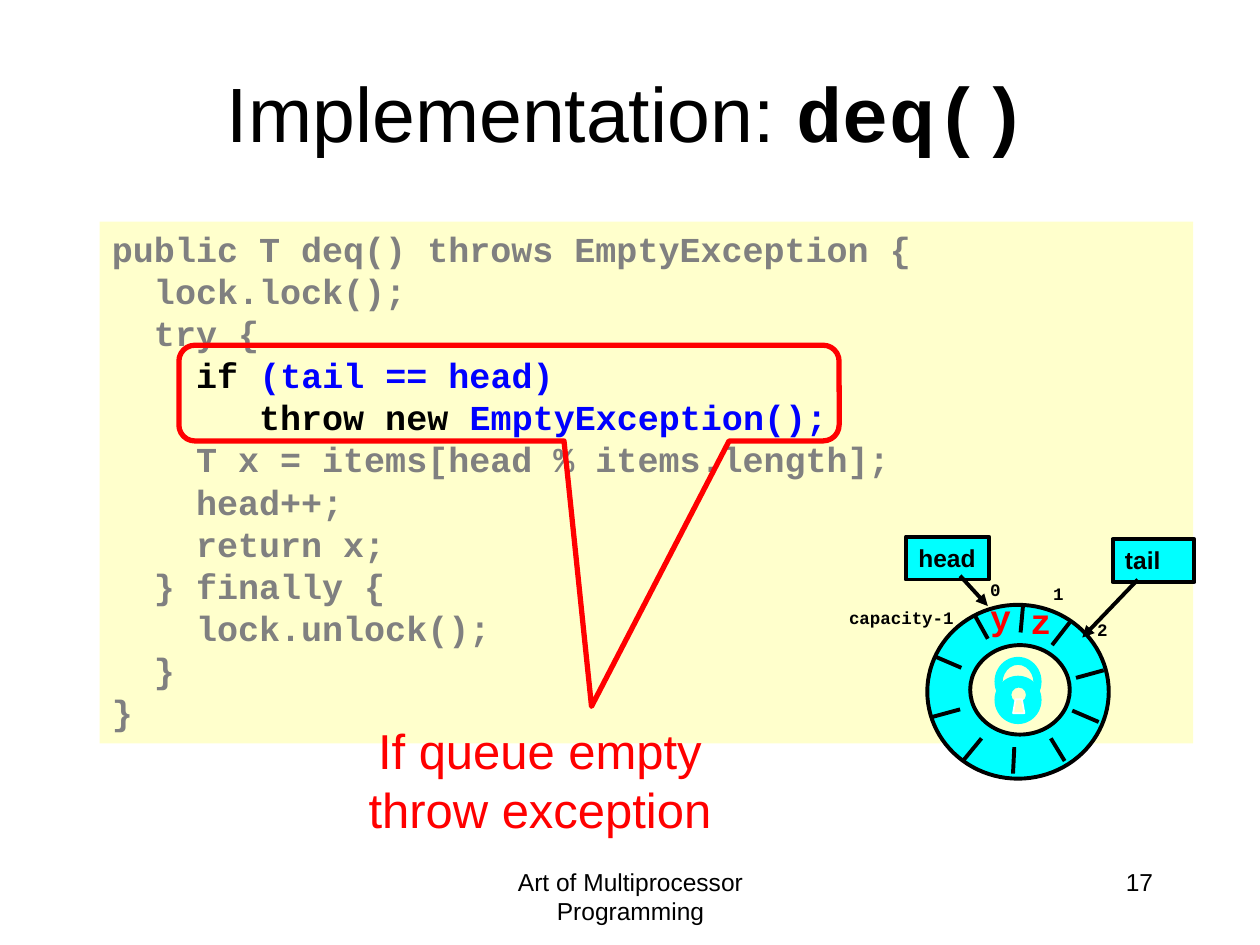
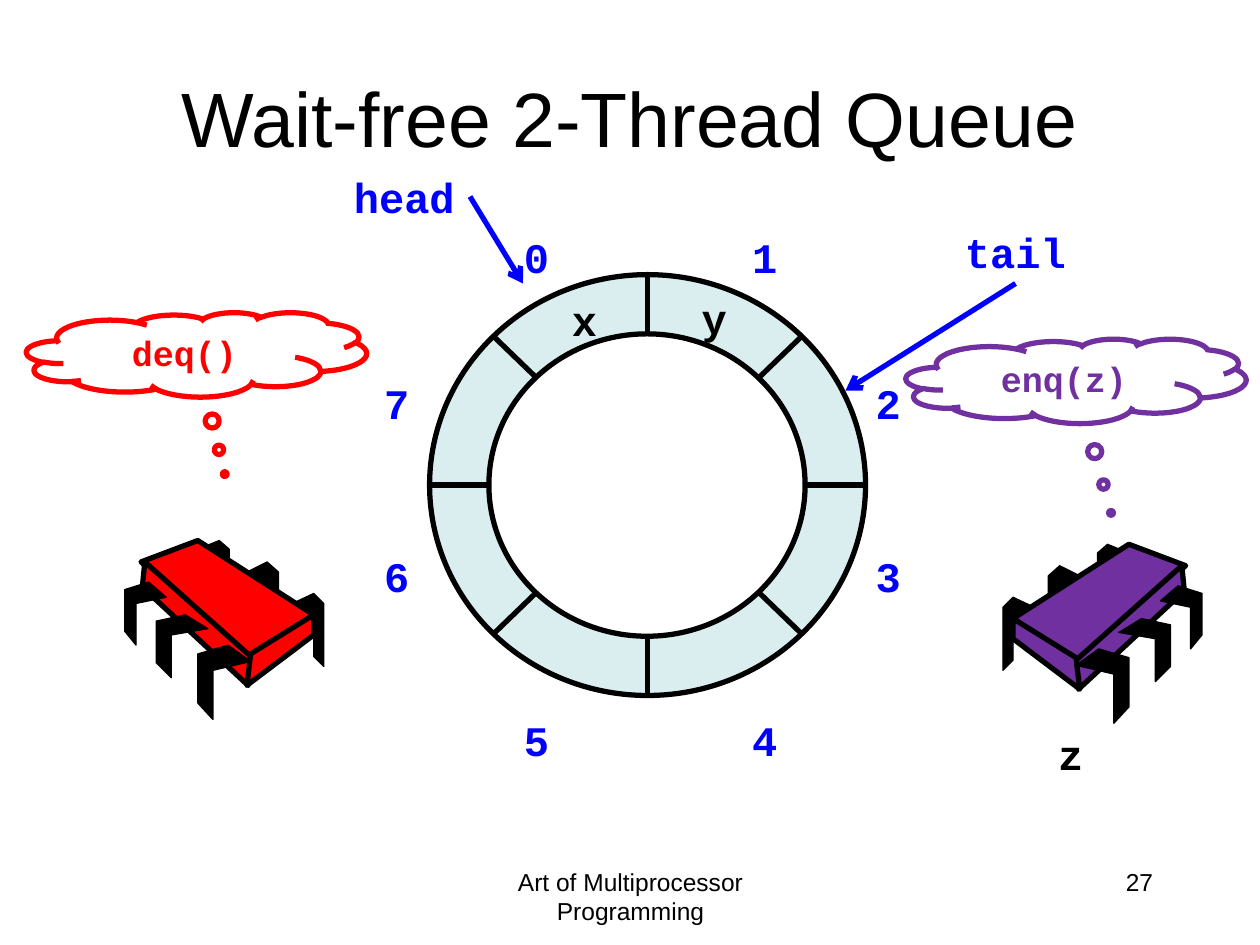
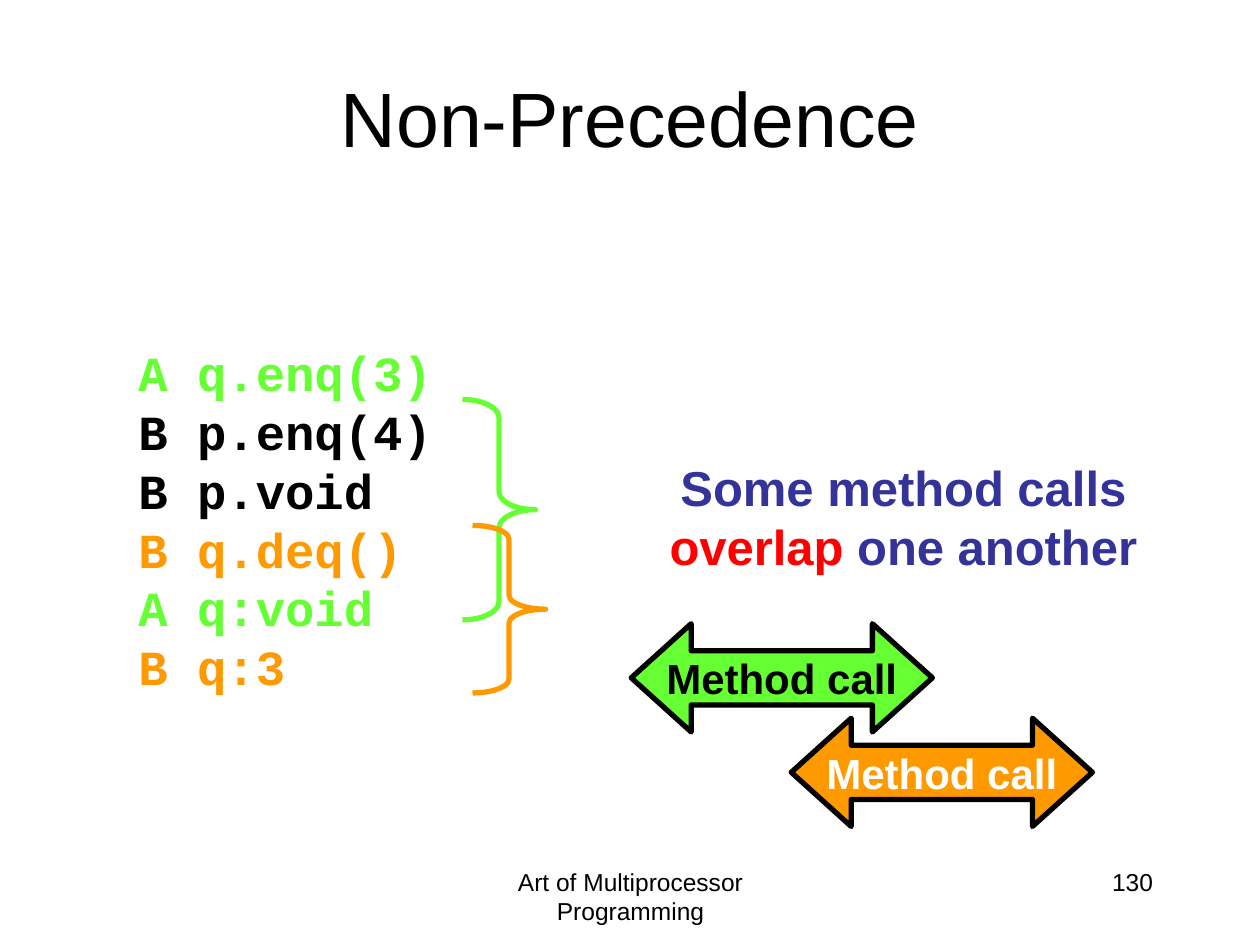
import math

from lxml import etree
from pptx import Presentation
from pptx.dml.color import RGBColor
from pptx.enum.shapes import MSO_CONNECTOR, MSO_SHAPE
from pptx.enum.text import MSO_ANCHOR, MSO_AUTO_SIZE, PP_ALIGN
from pptx.oxml.ns import qn
from pptx.util import Inches, Pt

LEFT, CENTER, RIGHT = PP_ALIGN.LEFT, PP_ALIGN.CENTER, PP_ALIGN.RIGHT
TOP, MIDDLE = MSO_ANCHOR.TOP, MSO_ANCHOR.MIDDLE
GROW, FIXED = MSO_AUTO_SIZE.SHAPE_TO_FIT_TEXT, MSO_AUTO_SIZE.NONE
RECT, ELLIPSE = MSO_SHAPE.RECTANGLE, MSO_SHAPE.OVAL
BOX_CALLOUT, CLOUD = MSO_SHAPE.ROUNDED_RECTANGULAR_CALLOUT, MSO_SHAPE.CLOUD_CALLOUT
BRACE, DOUBLE_ARROW = MSO_SHAPE.RIGHT_BRACE, MSO_SHAPE.LEFT_RIGHT_ARROW
STRAIGHT = MSO_CONNECTOR.STRAIGHT

SANS, MONO = "Arial", "Courier New"
BLACK, WHITE, RED, BLUE, GRAY = "000000", "FFFFFF", "FF0000", "0000FF", "808080"
CREAM, CYAN, PALE, PURPLE = "FFFFCC", "00FFFF", "DAEDEF", "7030A0"
GREEN, ORANGE, NAVY = "66FF33", "FF9900", "333399"

CODE = [
    "public T deq() throws EmptyException {",
    "  lock.lock();",
    "  try {",
    [("    if ", BLACK), ("(tail == head)", BLUE)],
    [("       throw new ", BLACK), ("EmptyException();", BLUE)],
    "    T x = items[head % items.length];",
    "    head++;",
    "    return x;",
    "  } finally {",
    "    lock.unlock();",
    "  }",
    "}",
]
SMALL_RING_TICKS = [
    (7.65, 6.03, 7.79, 5.86), (8.35, 5.12, 8.49, 4.94), (8.54, 5.38, 8.76, 5.32),
    (7.4, 5.69, 7.62, 5.63), (7.42, 5.21, 7.63, 5.3), (8.51, 5.64, 8.72, 5.73),
    (7.74, 4.89, 7.84, 5.07), (8.12, 4.8, 8.1, 5.02), (8.34, 5.86, 8.45, 6.04),
    (8.05, 5.93, 8.04, 6.14),
]
BACK_LEGS = [
    [(2.32, 4.79), (2.49, 4.71), (2.57, 4.79), (2.57, 5.29), (2.49, 5.21), (2.49, 4.88), (2.32, 4.96)],
    [(1.96, 4.54), (2.12, 4.46), (2.21, 4.54), (2.21, 5.04), (2.12, 4.96), (2.12, 4.62), (1.96, 4.71)],
    [(1.57, 4.36), (1.74, 4.29), (1.82, 4.36), (1.82, 4.79), (1.74, 4.72), (1.74, 4.43), (1.57, 4.51)],
]
CHIP_FACES = [
    [(1.57, 4.29), (2.49, 4.88), (1.97, 5.22), (1.12, 4.46)],
    [(1.15, 4.46), (1.99, 5.21), (1.97, 5.44), (1.13, 4.66)],
    [(2.49, 4.88), (2.49, 5.04), (1.96, 5.44), (1.99, 5.19)],
]
FRONT_LEGS = [
    [(1.81, 5.12), (1.99, 5.25), (1.69, 5.32), (1.69, 5.71), (1.57, 5.58), (1.57, 5.19)],
    [(1.47, 4.88), (1.65, 4.99), (1.36, 5.04), (1.36, 5.38), (1.24, 5.26), (1.24, 4.93)],
    [(1.18, 4.62), (1.32, 4.74), (1.08, 4.79), (1.08, 5.12), (0.99, 5.01), (0.99, 4.68)],
]


def rgb(value):
    return RGBColor.from_string(value)


def write(tf, paragraphs, size, color=BLACK, font=SANS, bold=False, align=LEFT,
          anchor=TOP, wrap=True, fit=GROW):
    """Fill a frame; a paragraph is a string or a list of (text, colour) runs."""
    tf.word_wrap, tf.auto_size, tf.vertical_anchor = wrap, fit, anchor
    for i, runs in enumerate(paragraphs):
        p = tf.add_paragraph() if i else tf.paragraphs[0]
        p.alignment = align
        p.font.size, p.font.name, p.font.bold = Pt(size), font, bold
        p.font.color.rgb = rgb(color)
        for text, run_color in [(runs, color)] if isinstance(runs, str) else runs:
            r = p.add_run()
            r.text = text
            if run_color != color:
                r.font.color.rgb = rgb(run_color)


def add_text(s, box, paragraphs, size, **style):
    sp = s.shapes.add_textbox(*map(Inches, box))
    write(sp.text_frame, paragraphs, size, **style)


def add_label(s, x, y, text, size=24, color=BLUE, w=0.41, h=0.5):
    add_text(s, (x, y, w, h), [text], size, color=color, font=MONO, bold=True, wrap=False)


def paint(sp, fill, line, width):
    sp.shadow.inherit = False
    if fill:
        sp.fill.solid()
        sp.fill.fore_color.rgb = rgb(fill)
    else:
        sp.fill.background()
    if line:
        sp.line.color.rgb = rgb(line)
        sp.line.width = Pt(width)
    else:
        sp.line.fill.background()


def add_shape(s, kind, box, fill=None, line=None, width=3, adj=()):
    sp = s.shapes.add_shape(kind, *map(Inches, box))
    for i, value in enumerate(adj):
        sp.adjustments[i] = value
    paint(sp, fill, line, width)
    return sp


def add_polygon(s, points, fill, line, width):
    points = [(Inches(x), Inches(y)) for x, y in points]
    builder = s.shapes.build_freeform(*points[0])
    builder.add_line_segments(points[1:], close=True)
    paint(builder.convert_to_shape(), fill, line, width)


def add_line(s, ends, color=BLACK, width=3, head=None):
    cx = s.shapes.add_connector(STRAIGHT, *map(Inches, ends))
    cx.line.color.rgb = rgb(color)
    cx.line.width = Pt(width)
    if head:
        etree.SubElement(cx.line._get_or_add_ln(), qn("a:tailEnd"), type=head)
    etree.SubElement(cx._element.spPr, qn("a:effectLst"))


def add_slide(prs, title, number, title_box=(0.5, 0.3, 9, 1.25)):
    """Start a slide with its title, footer and slide number."""
    s = prs.slides.add_slide(prs.slide_layouts[5])
    sp = s.shapes.title
    sp.left, sp.top, sp.width, sp.height = map(Inches, title_box)
    write(sp.text_frame, [title], 44, align=CENTER, anchor=MIDDLE, fit=FIXED)
    add_text(s, (3.42, 6.83, 3.17, 0.5), ["Art of Multiprocessor Programming"], 14,
             align=CENTER, fit=FIXED)
    add_text(s, (7.17, 6.83, 2.08, 0.5), [number], 14, align=RIGHT, fit=FIXED)
    return s


def add_small_queue(s):
    add_shape(s, ELLIPSE, (7.36, 4.8, 1.44, 1.38), CYAN, BLACK, 2.25)
    add_shape(s, ELLIPSE, (7.7, 5.12, 0.79, 0.71), CREAM, BLACK, 2.25)
    for ends in SMALL_RING_TICKS:
        add_line(s, ends, width=2.25)
    for x, y, text, w in [(7.76, 4.55, "0", 0.28), (8.26, 4.58, "1", 0.28),
                          (6.64, 4.77, "capacity-1", 1.04), (8.61, 4.86, "2", 0.28)]:
        add_label(s, x, y, text, 10, BLACK, w, 0.27)
    for box, text, wrap, arrow in [
            ((7.19, 4.26, 0.66, 0.34), "head", False, (7.62, 4.57, 7.84, 4.81)),
            ((8.83, 4.28, 0.65, 0.34), "tail", True, (9.03, 4.6, 8.59, 5.06))]:
        sp = add_shape(s, RECT, box, CYAN, BLACK, 2.25)
        write(sp.text_frame, [text], 14, bold=True, wrap=wrap)
        add_line(s, arrow, width=2.25, head="triangle")
    add_label(s, 7.76, 4.68, "y", 20, RED, 0.37, 0.43)
    add_label(s, 8.08, 4.71, "z", 20, RED, 0.37, 0.43)


def add_padlock(s):
    for box, fill in [((7.9, 5.22, 0.36, 0.38), CYAN), ((7.95, 5.27, 0.26, 0.3), CREAM),
                      ((7.9, 5.37, 0.36, 0.37), CYAN), ((8.02, 5.45, 0.13, 0.13), CREAM)]:
        add_shape(s, ELLIPSE, box, fill, CYAN, 1)
    keyhole = [(8.04, 5.66), (8.06, 5.55), (8.11, 5.55), (8.13, 5.66)]
    add_polygon(s, keyhole, CREAM, WHITE, 1)


def add_ring(s, cx, cy, rx, ry):
    """Draw a ring cut into eight slots."""
    add_shape(s, ELLIPSE, (cx - rx, cy - ry, 2 * rx, 2 * ry), PALE, BLACK)
    for i in range(4):
        dx, dy = rx * math.cos(i * math.pi / 4), ry * math.sin(i * math.pi / 4)
        add_line(s, (cx - dx, cy - dy, cx + dx, cy + dy))
    add_shape(s, ELLIPSE, (3.88, 2.65, 2.51, 2.4), WHITE, BLACK)


def add_thread(s, color, mirrored=False):
    """Draw a chip on legs, facing right or mirrored to the other side."""
    for outlines, fill, width in [(BACK_LEGS, BLACK, 0.75), (CHIP_FACES, color, 3),
                                  (FRONT_LEGS, BLACK, 0.75)]:
        for points in outlines:
            if mirrored:
                points = [(10.53 - x, y + 0.03) for x, y in points]
            add_polygon(s, points, fill, BLACK, width)


def add_thought(s, x, y, text, color, adj):
    sp = add_shape(s, CLOUD, (x, y, 2.7, 0.67), WHITE, color, adj=adj)
    write(sp.text_frame, [text], 20, color=color, font=MONO, bold=True, align=CENTER)


def add_method_call(s, x, y, fill, color):
    sp = add_shape(s, DOUBLE_ARROW, (x, y, 2.39, 0.86), fill, BLACK, adj=(0.5, 0.554))
    write(sp.text_frame, ["Method call"], 24, color=color, bold=True, align=CENTER,
          anchor=MIDDLE, wrap=False, fit=FIXED)


def deq_slide(prs):
    s = add_slide(prs, "Implementation: ", "17", (0.73, 0.26, 8.5, 1.25))
    r = s.shapes.title.text_frame.paragraphs[0].add_run()
    r.text = "deq()"
    r.font.name, r.font.bold = MONO, True
    sp = add_shape(s, RECT, (0.79, 1.76, 8.68, 4.14), CREAM)
    write(sp.text_frame, CODE, 20, color=GRAY, font=MONO, bold=True)
    add_shape(s, BOX_CALLOUT, (1.42, 2.74, 5.24, 0.76), line=RED, adj=(0.125, 3.273, 0.167))
    add_text(s, (1.78, 5.67, 5.01, 1.03), ["If queue empty", "throw exception"], 28,
             color=RED, align=CENTER)
    add_small_queue(s)
    add_padlock(s)


def wait_free_slide(prs):
    s = add_slide(prs, "Wait-free 2-Thread Queue", "27")
    add_ring(s, 5.14, 3.85, 1.73, 1.67)
    slots = [(4.06, 1.79), (5.87, 1.79), (6.85, 2.95), (6.85, 4.32),
             (5.87, 5.62), (4.06, 5.62), (2.95, 4.32), (2.95, 2.95)]
    for i, (x, y) in enumerate(slots):
        add_label(s, x, y, str(i))
    for x, y, item in [(4.44, 2.29, "x"), (5.47, 2.27, "y"), (8.3, 5.73, "z")]:
        add_label(s, x, y, item, color=BLACK)
    for x, y, text, arrow in [(2.71, 1.31, "head", (3.73, 1.56, 4.15, 2.25)),
                              (7.56, 1.75, "tail", (8.06, 2.25, 6.71, 3.1))]:
        add_label(s, x, y, text, w=1.02)
        add_line(s, arrow, BLUE, head="arrow")
    add_thought(s, 7.19, 2.69, "enq(z)", PURPLE, (0.103, 1.561))
    add_thought(s, 0.21, 2.48, "deq()", RED, (0.083, 1.415))
    add_thread(s, RED)
    add_thread(s, PURPLE, mirrored=True)


def non_precedence_slide(prs):
    s = add_slide(prs, "Non-Precedence", "130")
    history = [("A q.enq(3)", GREEN), ("B p.enq(4)", BLACK), ("B p.void", BLACK),
               ("B q.deq()", ORANGE), ("A q:void", GREEN), ("B q:3", ORANGE)]
    add_text(s, (1, 2.67, 3.05, 2.9), [[event] for event in history], 28, font=MONO, bold=True)
    add_shape(s, BRACE, (3.67, 3.17, 0.58, 1.75), line=GREEN, adj=(0.25, 0.5))
    remark = [("Some method calls ", NAVY), ("overlap", RED), (" one another", NAVY)]
    add_text(s, (5.17, 3.58, 4, 1.03), [remark], 28, color=NAVY, bold=True, align=CENTER)
    add_shape(s, BRACE, (3.75, 4.17, 0.58, 1.33), line=ORANGE, adj=(0.19, 0.5))
    add_method_call(s, 5.01, 4.95, GREEN, BLACK)
    add_method_call(s, 6.28, 5.7, ORANGE, WHITE)


def main():
    prs = Presentation()
    prs.slide_width, prs.slide_height = Inches(10), Inches(7.5)
    deq_slide(prs)
    wait_free_slide(prs)
    non_precedence_slide(prs)
    prs.save("out.pptx")


if __name__ == "__main__":
    main()
